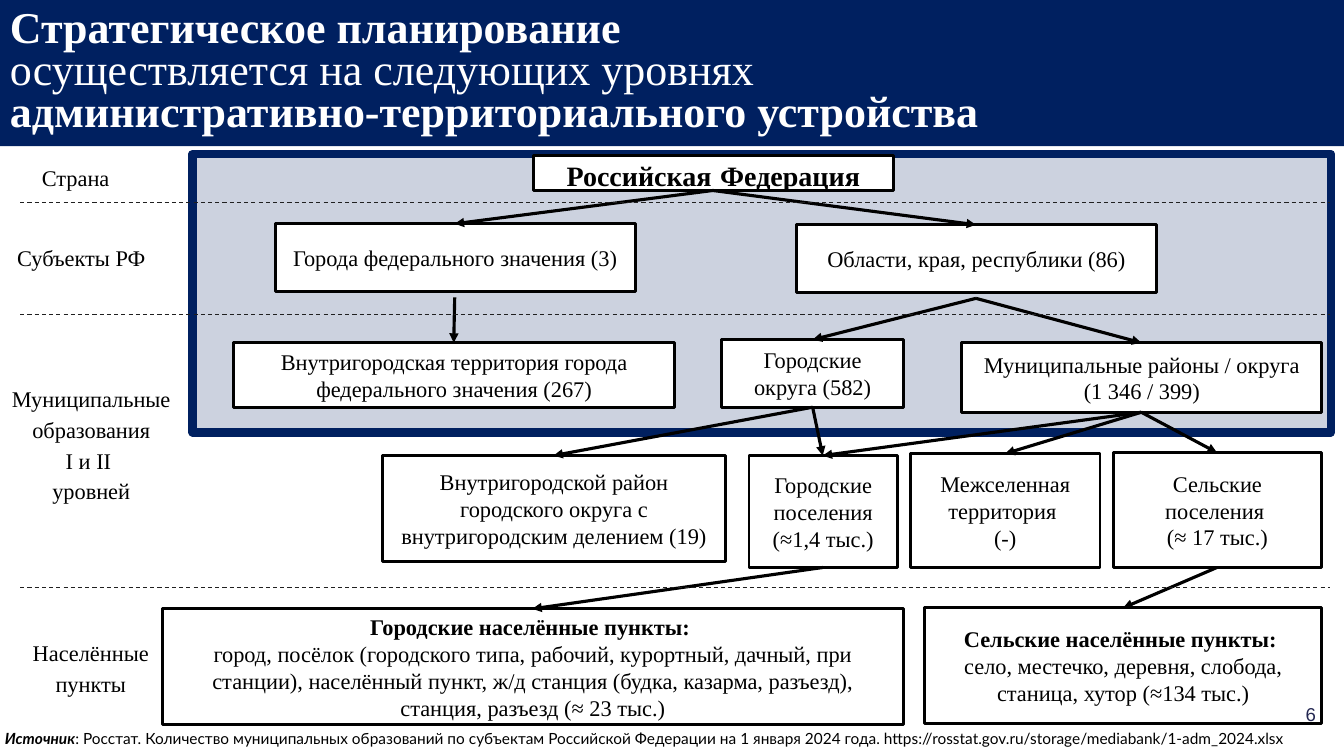
from dataclasses import dataclass

from lxml import etree
from pptx import Presentation
from pptx.dml.color import RGBColor
from pptx.enum.dml import MSO_LINE
from pptx.enum.shapes import MSO_CONNECTOR, MSO_SHAPE
from pptx.enum.text import MSO_ANCHOR, PP_ALIGN
from pptx.oxml.ns import qn
from pptx.util import Emu, Pt

PX = 9144  # 100 px to the inch
LEFT, CENTER, RIGHT = PP_ALIGN.LEFT, PP_ALIGN.CENTER, PP_ALIGN.RIGHT
TOP, MIDDLE = MSO_ANCHOR.TOP, MSO_ANCHOR.MIDDLE
RECT, STRAIGHT, DASH = MSO_SHAPE.RECTANGLE, MSO_CONNECTOR.STRAIGHT, MSO_LINE.DASH


@dataclass(frozen=True)
class Theme:
    navy: str = "002060"
    white: str = "FFFFFF"
    black: str = "000000"
    divider: str = "202020"
    number: str = "242852"
    serif: str = "Times New Roman"
    sans: str = "Lato"
    number_font: str = "Arial"
    title_size: float = 31.4
    country_size: float = 20
    country_gap_size: float = 24
    body_size: float = 16
    number_size: float = 13.3
    source_size: float = 11


THEME = Theme()

# Node: (left, top, width, height), paragraphs of (text, bold, size) runs
BODY = THEME.body_size
NODES = {
    "country": ((529, 154, 357, 35), [[
        ("Российская", True, THEME.country_size),
        (" ", True, THEME.country_gap_size),
        ("Федерация", True, THEME.country_size)]]),
    "federal cities": ((273, 222, 357, 67), [[
        ("Города федерального значения (3)", False, BODY)]]),
    "regions": ((790, 223, 357, 67), [[
        ("Области, края, республики (86)", False, BODY)]]),
    "city territory": ((232, 340, 437, 64), [[
        ("Внутригородская территория города федерального значения (267)", False, BODY)]]),
    "urban districts": ((716, 337, 180, 67), [[
        ("Городские округа (582)", False, BODY)]]),
    "municipal districts": ((954, 340, 357, 69), [[
        ("Муниципальные районы / округа (1 346 / 399)", False, BODY)]]),
    "inner district": ((379, 452, 341, 105), [
        [("Внутригородской район городского округа с", False, BODY)],
        [("внутригородским делением (19)", False, BODY)]]),
    "rural settlements": ((1104, 449, 207, 114), [[
        ("Сельские поселения \n(≈ 17 тыс.)", False, BODY)]]),
    "urban settlements": ((743, 452, 147, 111), [[
        ("Городские поселения (≈1,4 тыс.)", False, BODY)]]),
    "intersettlement": ((903, 450, 188, 113), [[
        ("Межселенная территория \n(-)", False, BODY)]]),
    "rural localities": ((917, 603, 394, 115), [[
        ("Сельские населённые пункты: \n", True, BODY),
        ("село, местечко, деревня, слобода, станица, хутор (≈134 тыс.)", False, BODY)]]),
    "urban localities": ((161, 604, 735, 115), [[
        ("Городские населённые пункты: \n", True, BODY),
        ("город, посёлок (городского типа, рабочий, курортный, дачный, при станции), "
         "населённый пункт, ж/д станция (будка, казарма, разъезд), станция, разъезд "
         "(≈ 23 тыс.)", False, BODY)]]),
}

# Parent, gap below the parent, children
BRANCHES = [
    ("country", 0, ["federal cities", "regions"]),
    ("federal cities", 6, ["city territory"]),
    ("regions", 6, ["urban districts", "municipal districts"]),
    ("urban districts", 0, ["inner district", "urban settlements"]),
    ("municipal districts", 0, ["urban settlements", "rural settlements", "intersettlement"]),
    ("urban settlements", 0, ["urban localities"]),
    ("rural settlements", 0, ["rural localities"]),
]

LEVELS = [
    ((-31, 146, 192, 71), CENTER, ["Страна"]),
    ((-16, 225, 192, 71), LEFT, ["Субъекты РФ"]),
    ((-30, 365, 221, 154), CENTER, ["Муниципальные образования", "I и II \nуровней"]),
    ((-16, 617, 192, 100), CENTER, ["Населённые пункты"]),
]
DIVIDERS = [201, 312, 583]


def px(*lengths):
    return [Emu(length * PX) for length in lengths]


def rgb(colour):
    return RGBColor.from_string(colour)


def set_frame(shape, margins, anchor):
    frame = shape.text_frame
    frame.word_wrap = True
    frame.vertical_anchor = anchor
    frame.margin_left, frame.margin_top, frame.margin_right, frame.margin_bottom = px(*margins)
    return frame


def add_paragraph(frame, first, align, spacing=None, indent=0):
    paragraph = frame.paragraphs[0] if first else frame.add_paragraph()
    paragraph.alignment = align
    if spacing:
        paragraph.line_spacing = spacing
    if indent:
        properties = paragraph._p.get_or_add_pPr()
        properties.set("marL", str(indent * PX))
        properties.set("indent", "0")
    return paragraph


def add_run(paragraph, text, size, font=THEME.serif, colour=THEME.black,
            bold=False, italic=False):
    for position, part in enumerate(text.split("\n")):
        if position:
            paragraph.add_line_break()
        if part:
            run = paragraph.add_run()
            run.text = part
            run.font.name, run.font.size = font, Pt(size)
            run.font.bold, run.font.italic = bold, italic
            run.font.color.rgb = rgb(colour)


def add_rect(slide, place, fill, line=None, weight=0, opacity=None):
    rect = slide.shapes.add_shape(RECT, *px(*place))
    rect.shadow.inherit = False
    rect.fill.solid()
    rect.fill.fore_color.rgb = rgb(fill)
    if opacity:
        colour = rect._element.spPr.find(qn("a:solidFill")).find(qn("a:srgbClr"))
        etree.SubElement(colour, qn("a:alpha")).set("val", str(opacity * 1000))
    if line:
        rect.line.color.rgb = rgb(line)
        rect.line.width = Pt(weight)
    else:
        rect.line.fill.background()
    return rect


def add_line(slide, start, end, colour, weight, dash=None, arrow=False):
    line = slide.shapes.add_connector(STRAIGHT, *px(*start, *end))
    line.line.color.rgb = rgb(colour)
    line.line.width = Pt(weight)
    if dash:
        line.line.dash_style = dash
    properties = line._element.spPr
    if arrow:
        etree.SubElement(properties.find(qn("a:ln")), qn("a:tailEnd")).set("type", "triangle")
    etree.SubElement(properties, qn("a:effectLst"))


def add_title(slide):
    banner = add_rect(slide, (0, 0, 1333, 145), THEME.navy)
    paragraph = add_paragraph(set_frame(banner, (10, 10, 10, 10), MIDDLE), True, LEFT, 0.8)
    for text, bold in [("Стратегическое планирование \n", True),
                       ("осуществляется на следующих уровнях \n", False),
                       ("административно-территориального устройства", True)]:
        add_run(paragraph, text, THEME.title_size, colour=THEME.white, bold=bold)


def add_node(slide, place, paragraphs):
    node = add_rect(slide, place, THEME.white, THEME.black, 2)
    frame = set_frame(node, (13, 7, 13, 7), MIDDLE)
    for index, runs in enumerate(paragraphs):
        paragraph = add_paragraph(frame, index == 0, CENTER)
        for text, bold, size in runs:
            add_run(paragraph, text, size, bold=bold)


def add_branch(slide, parent, gap, child):
    left, top, width, height = NODES[parent][0]
    child_left, child_top, child_width, _ = NODES[child][0]
    add_line(slide, (left + width // 2, top + height + gap),
             (child_left + child_width // 2, child_top), THEME.black, 2.25, arrow=True)


def add_level(slide, place, align, texts):
    frame = set_frame(slide.shapes.add_textbox(*px(*place)), (13, 13, 13, 13), TOP)
    for index, text in enumerate(texts):
        add_run(add_paragraph(frame, index == 0, align, 1.15, 20), text, THEME.body_size)


def add_footer(slide):
    number = set_frame(slide.shapes.add_textbox(*px(1235, 680, 80, 57)), (10, 10, 10, 10), MIDDLE)
    add_run(add_paragraph(number, True, RIGHT), "6", THEME.number_size,
            THEME.number_font, THEME.number)
    source = set_frame(slide.shapes.add_textbox(*px(-5, 718, 1342, 29)), (10, 5, 10, 5), TOP)
    paragraph = add_paragraph(source, True, LEFT)
    add_run(paragraph, "Источник", THEME.source_size, THEME.sans, bold=True, italic=True)
    add_run(paragraph, ": Росстат. Количество муниципальных образований по субъектам Российской "
            "Федерации на 1 января 2024 года. "
            "https://rosstat.gov.ru/storage/mediabank/1-adm_2024.xlsx",
            THEME.source_size, THEME.sans)


def main():
    deck = Presentation()
    deck.slide_width, deck.slide_height = px(1333, 750)
    slide = deck.slides.add_slide(deck.slide_layouts[6])

    # Strategic planning zone and title
    add_rect(slide, (191, 153, 1129, 276), THEME.navy, THEME.navy, 6, opacity=20)
    add_title(slide)

    # Hierarchy
    for place, paragraphs in NODES.values():
        add_node(slide, place, paragraphs)
    for parent, gap, children in BRANCHES:
        for child in children:
            add_branch(slide, parent, gap, child)

    # Levels
    for y in DIVIDERS:
        add_line(slide, (20, y), (1319, y), THEME.divider, 0.75, dash=DASH)
    for place, align, texts in LEVELS:
        add_level(slide, place, align, texts)

    add_footer(slide)
    deck.save("out.pptx")


if __name__ == "__main__":
    main()
